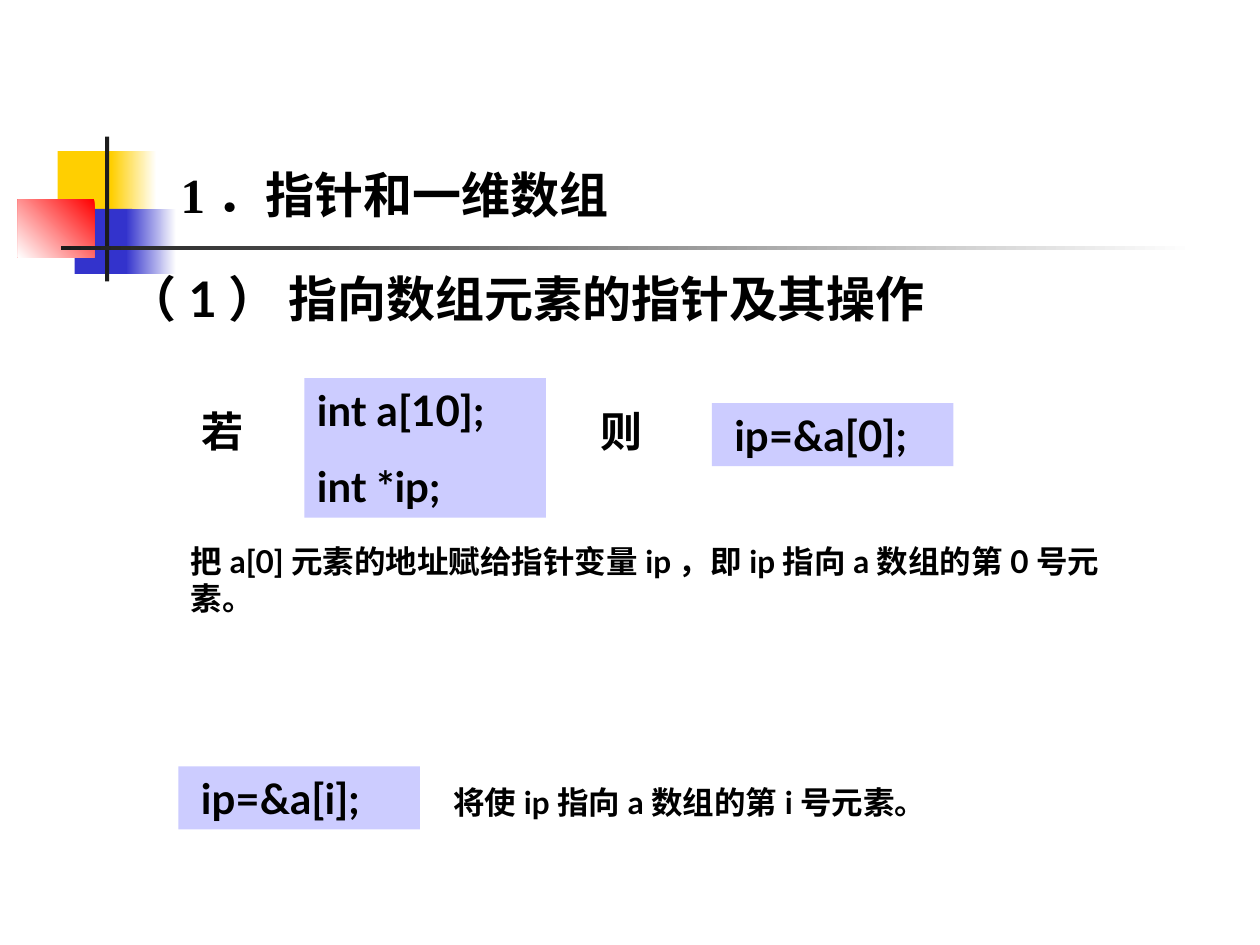
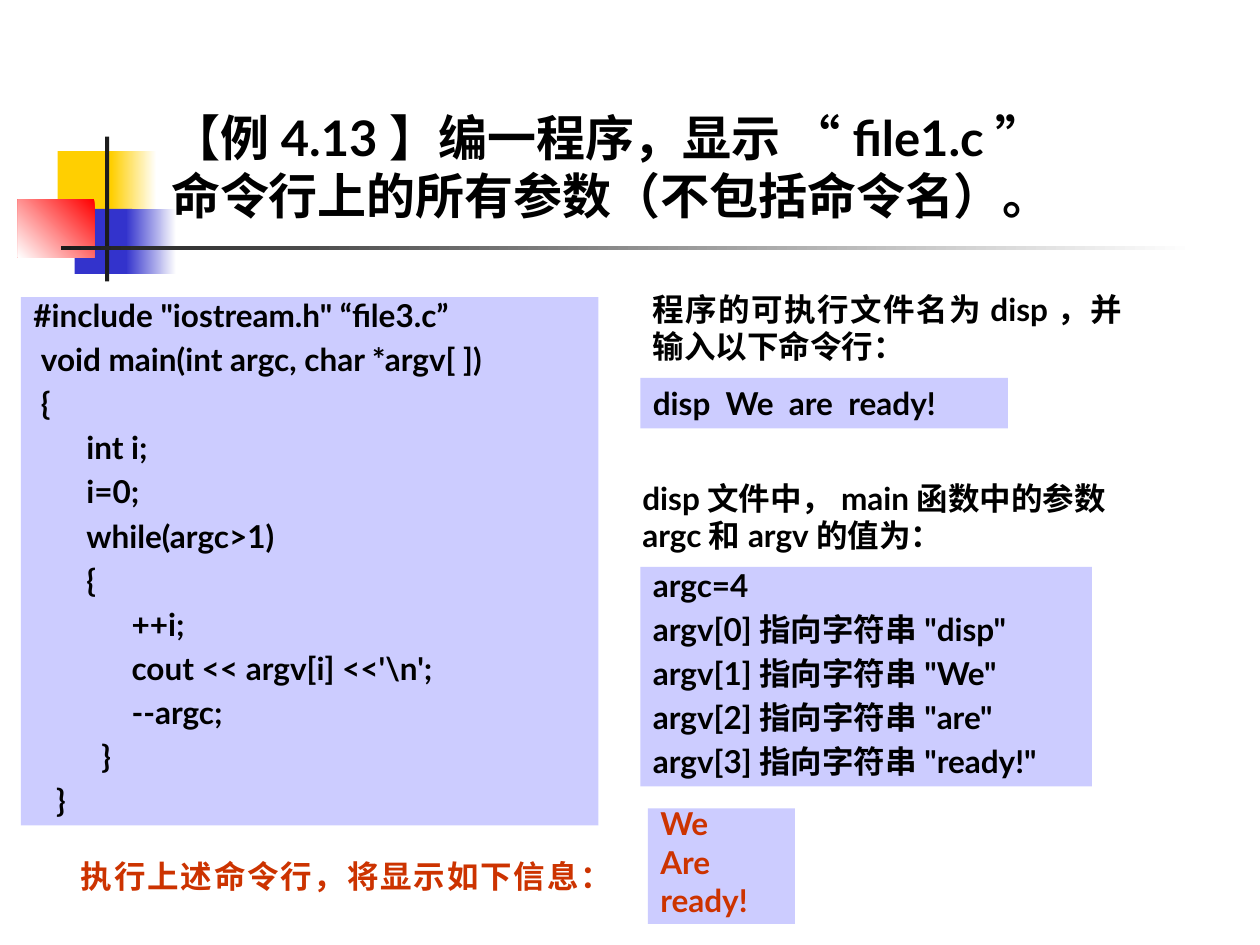
from dataclasses import dataclass
from itertools import groupby
from typing import NamedTuple

from pptx import Presentation
from pptx.dml.color import RGBColor
from pptx.enum.shapes import MSO_SHAPE
from pptx.enum.text import MSO_ANCHOR, MSO_AUTO_SIZE, PP_ALIGN
from pptx.util import Inches, Pt

RECTANGLE = MSO_SHAPE.RECTANGLE
TOP, BOTTOM = MSO_ANCHOR.TOP, MSO_ANCHOR.BOTTOM
FIT_SHAPE, FIXED = MSO_AUTO_SIZE.SHAPE_TO_FIT_TEXT, MSO_AUTO_SIZE.NONE
LEFT, JUSTIFY = PP_ALIGN.LEFT, PP_ALIGN.JUSTIFY

LATO, NOTO, TIMES = "Lato", "Noto Sans CJK SC", "Times New Roman"
BLACK, WHITE, INK = "000000", "FFFFFF", "1C1C1C"
YELLOW, BLUE, RED = "FFCF01", "3333CC", "FF0000"
LAVENDER, RUST = "CCCCFF", "CC3300"

COLUMNS, ROWS = 120, 90
TITLE_ONLY = 5

presentation = Presentation()
presentation.slide_width, presentation.slide_height = Inches(10), Inches(7.5)


class Area(NamedTuple):
    """Left, top, width and height in grid columns and rows."""
    left: float
    top: float
    width: float
    height: float

    def lengths(self) -> list[int]:
        column = presentation.slide_width / COLUMNS
        row = presentation.slide_height / ROWS
        return [round(value * unit) for value, unit in zip(self, (column, row, column, row))]


class Line(NamedTuple):
    text: str
    indent: float = 0  # inches


class Ornament(NamedTuple):
    area: Area
    start: str
    end: str = ""
    angle: int = 0  # counter-clockwise


@dataclass
class Block:
    area: Area
    lines: list[Line]
    fill: str = ""
    size: float = 18
    color: str = BLACK
    before: float = 11.2
    spacing: float = 1.0
    align: PP_ALIGN = LEFT
    latin: str = LATO
    chinese: str = NOTO


def rgb(color: str) -> RGBColor:
    return RGBColor.from_string(color)


def apply(target, values: dict) -> None:
    for name, value in values.items():
        setattr(target, name, value)


def add_rectangle(slide, area: Area):
    shape = slide.shapes.add_shape(RECTANGLE, *area.lengths())
    shape.shadow.inherit = False
    shape.line.fill.background()
    return shape


def is_chinese(character: str) -> bool:
    return ord(character) >= 0x2E80


def add_runs(paragraph, text: str, block: Block) -> None:
    """Give Chinese and Latin stretches of the text runs of their own."""
    for chinese, characters in groupby(text, is_chinese):
        run = paragraph.add_run()
        run.text = "".join(characters)
        apply(run.font, {"name": block.chinese if chinese else block.latin,
                         "size": Pt(block.size), "bold": True})
        run.font.color.rgb = rgb(block.color)
        properties = run.font._element
        east_asian = properties.makeelement(properties.find("{*}latin").tag.replace("latin", "ea"),
                                            {"typeface": NOTO})
        properties.find("{*}latin").addnext(east_asian)


def write(frame, block: Block) -> None:
    for index, line in enumerate(block.lines):
        paragraph = frame.add_paragraph() if index else frame.paragraphs[0]
        apply(paragraph, {"alignment": block.align, "space_before": Pt(block.before),
                          "line_spacing": block.spacing})
        if line.indent:
            paragraph._p.get_or_add_pPr().set("marL", str(Inches(line.indent)))
        for number, part in enumerate(line.text.split("\n")):
            if number:
                paragraph.add_line_break()
            add_runs(paragraph, part, block)


def add_block(slide, block: Block) -> None:
    if block.fill:
        shape = add_rectangle(slide, block.area)
        shape.fill.solid()
        shape.fill.fore_color.rgb = rgb(block.fill)
    else:
        shape = slide.shapes.add_textbox(*block.area.lengths())
    apply(shape.text_frame, {"word_wrap": True, "auto_size": FIT_SHAPE, "vertical_anchor": TOP})
    write(shape.text_frame, block)


def add_ornament(slide, ornament: Ornament):
    shape = add_rectangle(slide, ornament.area)
    if not ornament.end:
        shape.fill.solid()
        shape.fill.fore_color.rgb = rgb(ornament.start)
        return shape
    shape.fill.gradient()
    shape.fill.gradient_angle = ornament.angle
    for stop, color, position in zip(shape.fill.gradient_stops,
                                     (ornament.start, ornament.end), (0, 1)):
        stop.color.rgb = rgb(color)
        stop.position = position
    return shape


def decorate_layout(layout, slide) -> None:
    """Draw the ornaments on a slide, then move them to its layout."""
    for placeholder in list(layout.placeholders)[1:]:
        placeholder.element.getparent().remove(placeholder.element)
    tree = layout.placeholders[0].element.getparent()
    for shape in [add_ornament(slide, ornament) for ornament in ORNAMENTS]:
        tree.append(shape.element)


def fill_slide(slide, title: Block, blocks: list[Block]) -> None:
    shape = slide.shapes.title
    apply(shape, dict(zip(("left", "top", "width", "height"), title.area.lengths())))
    apply(shape.text_frame, {"word_wrap": True, "auto_size": FIXED, "vertical_anchor": BOTTOM})
    write(shape.text_frame, title)
    for block in blocks:
        add_block(slide, block)


# Shared ornaments: coloured squares, vertical bar, fading rule
ORNAMENTS = [
    Ornament(Area(5.5, 14.4, 5.8, 6.2), YELLOW),
    Ornament(Area(10.6, 14.4, 4.3, 6.2), WHITE, YELLOW, 180),
    Ornament(Area(7.1, 19.9, 5.5, 6.2), BLUE),
    Ornament(Area(12, 19.9, 4.8, 6.2), WHITE, BLUE, 180),
    Ornament(Area(1.7, 19, 7.3, 5.5), RED, WHITE, 225),
    Ornament(Area(10, 13, 0.4, 13.8), INK),
    Ornament(Area(5.8, 23.4, 108, 0.4), WHITE, INK, 180),
]

# Shared text styles
TITLE = {"size": 28, "before": 0, "chinese": TIMES}
LARGE = {"size": 24, "before": 15}
LARGE_CODE = LARGE | {"fill": LAVENDER, "align": JUSTIFY}
CODE = {"fill": LAVENDER, "align": JUSTIFY, "before": 7.9, "spacing": 0.8}
OUTPUT = {"fill": LAVENDER, "color": RUST, "before": 6.8, "spacing": 0.7}
SPACE = 0.06  # width of one code space in inches

# Slide 1: pointers to array elements
array_title = Block(Area(16, 14, 50.9, 7.9), [Line("1．指针和一维数组")], latin=TIMES, **TITLE)
array_blocks = [
    Block(Area(11, 25, 88, 6.8), [Line("（1） 指向数组元素的指针及其操作")],
          size=28, before=0, align=JUSTIFY),
    Block(Area(29, 36, 23, 13.3), [Line("int a[10];"), Line("int *ip;")], **LARGE_CODE),
    *[Block(Area(left, 38, 9, 6), [Line(word)], chinese=LATO, **LARGE)
      for left, word in ((18, "若"), (56, "则"))],
    *[Block(Area(left, top, 23, 6), [Line(code, 0.08)], **LARGE_CODE)
      for left, top, code in ((67.8, 38.4, "ip=&a[0];"), (17, 73, "ip=&a[i];"))],
    Block(Area(17, 51, 91, 8.4),
          [Line("把a[0]元素的地址赋给指针变量ip，即ip指向a数组的第0号元素。")]),
    Block(Area(42, 74, 48, 8.4), [Line("将使ip指向a数组的第i号元素。")]),
]

# Slide 2: command line arguments
PROGRAM = [
    (0, '#include "iostream.h" “file3.c”'),
    (1, "void main(int argc, char *argv[ ])"),
    (1, "{"),
    (7, "int i;"),
    (7, "i=0;"),
    (7, "while(argc>1)"),
    (7, "{"),
    (13, "++i;"),
    (13, "cout << argv[i] <<'\\n';"),
    (13, "--argc;"),
    (9, "}"),
    (3, "}"),
]
ARGUMENTS = ["disp", "We", "are", "ready!"]

command_title = Block(
    Area(15.1, 7, 86.9, 15),
    [Line("【例4.13】编一程序，显示 “file1.c”\n命令行上的所有参数（不包括命令名）。")], **TITLE)
command_blocks = [
    Block(Area(2, 28.3, 55, 50.3),
          [Line(code, spaces * SPACE) for spaces, code in PROGRAM], **CODE),
    Block(Area(61, 54, 43, 20.9),
          [Line(f"argc={len(ARGUMENTS)}")]
          + [Line(f'argv[{index}]指向字符串"{word}"') for index, word in enumerate(ARGUMENTS)],
          chinese=TIMES, **CODE),
    Block(Area(60, 45, 47, 8.4), [Line("disp文件中，main函数中的参数argc和argv的值为：")]),
    Block(Area(61, 27, 47, 8.4), [Line("程序的可执行文件名为disp，并输入以下命令行：")],
          align=JUSTIFY, chinese=TIMES),
    Block(Area(61, 36, 35, 4.8), [Line("  ".join(ARGUMENTS))], fill=LAVENDER, align=JUSTIFY),
    Block(Area(6.5, 81, 50, 8.4), [Line("执行上述命令行，将显示如下信息：")],
          color=RUST, align=JUSTIFY, chinese=TIMES),
    Block(Area(61.7, 77, 14, 11), [Line(word) for word in ("We", "Are", "ready!")], **OUTPUT),
]

# Build and save
layout = presentation.slide_layouts[TITLE_ONLY]
slides = [presentation.slides.add_slide(layout) for _ in range(2)]
decorate_layout(layout, slides[0])
fill_slide(slides[0], array_title, array_blocks)
fill_slide(slides[1], command_title, command_blocks)
presentation.save("out.pptx")
